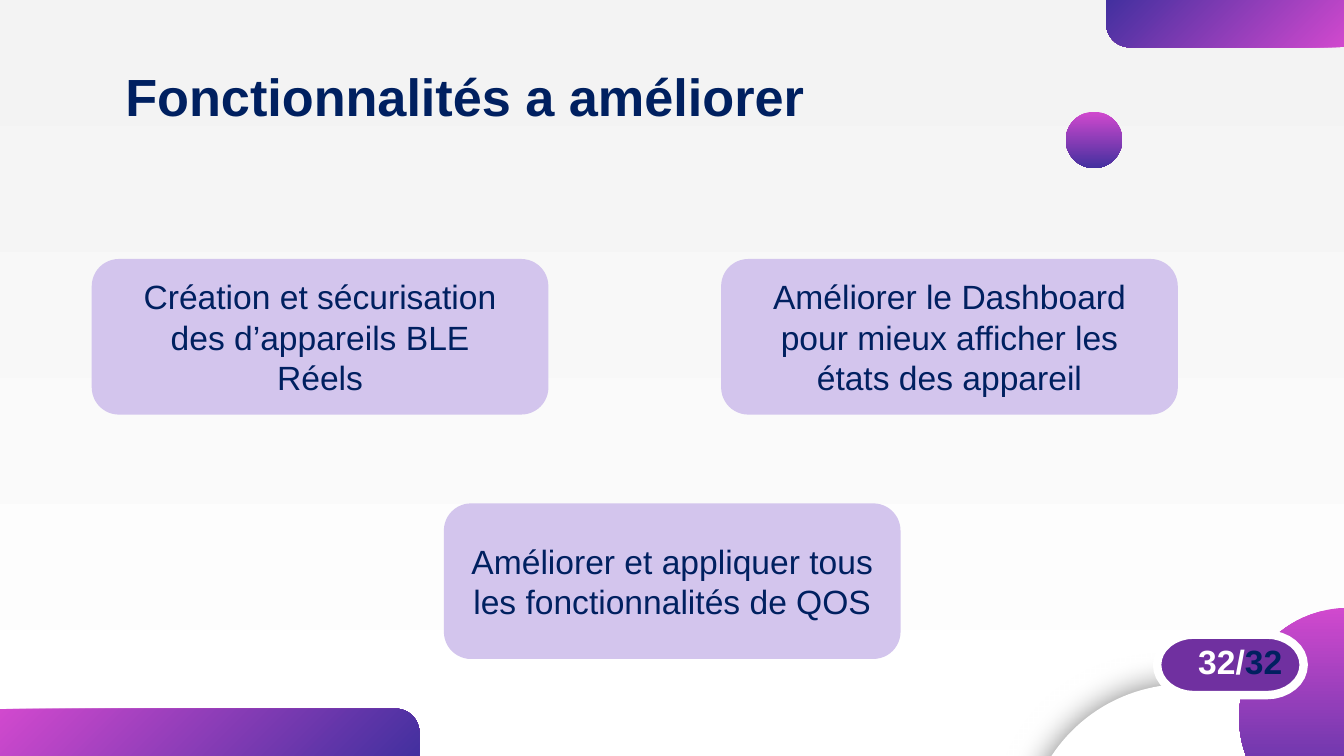
from math import cos, pi, sin
from typing import NamedTuple

from lxml.etree import SubElement
from pptx import Presentation
from pptx.dml.color import RGBColor
from pptx.enum.shapes import MSO_SHAPE as Preset
from pptx.enum.text import MSO_ANCHOR as Anchor, PP_ALIGN as Align
from pptx.oxml.ns import qn
from pptx.util import Inches, Pt

WIDTH = Inches(10)
HEIGHT = WIDTH * 9 // 16
FONT = "Arial"
NAVY, WHITE, LILAC, PURPLE = "002060", "FFFFFF", "D3C5ED", "7030A0"
PINK, INDIGO, PALE = "D149CE", "43309F", "F3F3F3"


class Area(NamedTuple):
    """Percentages of the slide's width and height."""
    left: float
    top: float
    width: float
    height: float

    def lengths(self) -> tuple:
        return tuple(int(share * side / 100)
                     for share, side in zip(self, (WIDTH, HEIGHT) * 2))


class Ornament(NamedTuple):
    preset: Preset
    area: Area
    angle: int
    rotation: int = 0


class Card(NamedTuple):
    left: float
    top: float
    lines: tuple


BOTTOM_BAND = Ornament(Preset.ROUND_1_RECTANGLE, Area(0, 93.75, 31.2, 6.25), 315)
TOP_BAND = Ornament(Preset.ROUND_1_RECTANGLE, Area(82.3, 0, 17.7, 6.25), 315, 180)
CORNER_DISC = Ornament(Preset.OVAL, Area(92.2, 80.4, 16.3, 28.98), 270)
SMALL_DISC = Ornament(Preset.OVAL, Area(79.3, 14.78, 4.2, 7.47), 270)
WHITE_DISC = Area(76.3, 90.49, 23.7, 42.13)
TITLE = Area(8.35, 7.64, 71.3, 14.4)
PAGE_BADGE = Area(86.1, 83.95, 10.9, 8)
BADGE_CORNER_SHARE = 0.25

CARD_WIDTH, CARD_HEIGHT = 33.7, 20.09
UPPER_ROW, LOWER_ROW = 34.51, 66.84
CARDS = (
    Card(6.97, UPPER_ROW, ("Création et sécurisation des d’appareils BLE", "Réels")),
    Card(53.8, UPPER_ROW,
         ("Améliorer le Dashboard pour mieux afficher les états des appareil",)),
    Card(33.17, LOWER_ROW,
         ("Améliorer et appliquer tous les fonctionnalités de QOS",)),
)


def color(value: str) -> RGBColor:
    return RGBColor.from_string(value)


def paint_gradient(fill, start: str, end: str, angle: int) -> None:
    fill.gradient()
    fill.gradient_angle = angle
    for stop, value in zip(fill.gradient_stops, (start, end)):
        stop.color.rgb = color(value)


def paint(shape, fill: str = "", line: str = "", line_width: float = 0) -> None:
    shape.shadow.inherit = False
    if fill:
        shape.fill.solid()
        shape.fill.fore_color.rgb = color(fill)
    if line:
        shape.line.color.rgb = color(line)
        shape.line.width = Pt(line_width)
    else:
        shape.line.fill.background()


def add_ornament(slide, ornament: Ornament) -> None:
    shape = slide.shapes.add_shape(ornament.preset, *ornament.area.lengths())
    paint(shape)
    shape.rotation = ornament.rotation
    if ornament.preset == Preset.ROUND_1_RECTANGLE:
        shape.adjustments[0] = 0.5
    paint_gradient(shape.fill, PINK, INDIGO, ornament.angle)


def add_white_disc(slide) -> None:
    shape = slide.shapes.add_shape(Preset.OVAL, *WHITE_DISC.lengths())
    paint(shape, WHITE)
    effects = shape.fill._xPr.find(qn("a:effectLst"))
    shadow = SubElement(effects, qn("a:outerShdw"), blurRad=str(Pt(16.9)),
                        dist="0", dir="0", algn="ctr", rotWithShape="0")
    black = SubElement(shadow, qn("a:srgbClr"), val="000000")
    SubElement(black, qn("a:alpha"), val="50000")


def style_paragraph(paragraph, size: int, bold: bool, align: Align) -> None:
    paragraph.alignment = align
    font = paragraph.font
    font.name, font.size, font.bold = FONT, Pt(size), bold
    font.color.rgb = color(NAVY)


def add_title(slide, text: str) -> None:
    frame = slide.shapes.add_textbox(*TITLE.lengths()).text_frame
    frame.word_wrap = True
    frame.text = text
    style_paragraph(frame.paragraphs[0], 28, True, Align.LEFT)


def add_card(slide, card: Card) -> None:
    area = Area(card.left, card.top, CARD_WIDTH, CARD_HEIGHT)
    shape = slide.shapes.add_shape(Preset.ROUNDED_RECTANGLE, *area.lengths())
    paint(shape, LILAC, LILAC, 2)
    frame = shape.text_frame
    frame.word_wrap = True
    frame.vertical_anchor = Anchor.MIDDLE
    frame.text = "\n".join(card.lines)
    for paragraph in frame.paragraphs:
        style_paragraph(paragraph, 18, False, Align.CENTER)


def build_pill(slide, area: Area, corner_share: float, steps: int = 16):
    left, top, width, height = area.lengths()
    radius_x, radius_y = corner_share * width, height / 2
    points = []
    for center, start in ((left + width - radius_x, -pi / 2),
                          (left + radius_x, pi / 2)):
        for step in range(steps + 1):
            angle = start + pi * step / steps
            points.append((round(center + radius_x * cos(angle)),
                           round(top + radius_y * (1 + sin(angle)))))
    builder = slide.shapes.build_freeform(*points[0])
    builder.add_line_segments(points[1:], close=True)
    return builder.convert_to_shape()


def add_page_badge(slide, current: str, total: str) -> None:
    shape = build_pill(slide, PAGE_BADGE, BADGE_CORNER_SHARE)
    paint(shape, PURPLE, WHITE, 4.5)
    frame = shape.text_frame
    frame.word_wrap = True
    frame.vertical_anchor = Anchor.TOP
    frame.margin_left = int(0.28 * PAGE_BADGE.lengths()[2])
    frame.margin_right = 0
    paragraph = frame.paragraphs[0]
    style_paragraph(paragraph, 18, True, Align.LEFT)
    for text, value in ((f"{current}/", WHITE), (total, NAVY)):
        run = paragraph.add_run()
        run.text = text
        run.font.color.rgb = color(value)


def main() -> None:
    presentation = Presentation()
    presentation.slide_width, presentation.slide_height = WIDTH, HEIGHT
    slide = presentation.slides.add_slide(presentation.slide_layouts[6])
    paint_gradient(slide.background.fill, WHITE, PALE, 90)
    add_ornament(slide, BOTTOM_BAND)
    add_ornament(slide, TOP_BAND)
    add_white_disc(slide)
    add_ornament(slide, CORNER_DISC)
    add_ornament(slide, SMALL_DISC)
    add_title(slide, "Fonctionnalités a améliorer")
    for card in CARDS:
        add_card(slide, card)
    add_page_badge(slide, "32", "32")
    presentation.save("out.pptx")


if __name__ == "__main__":
    main()
